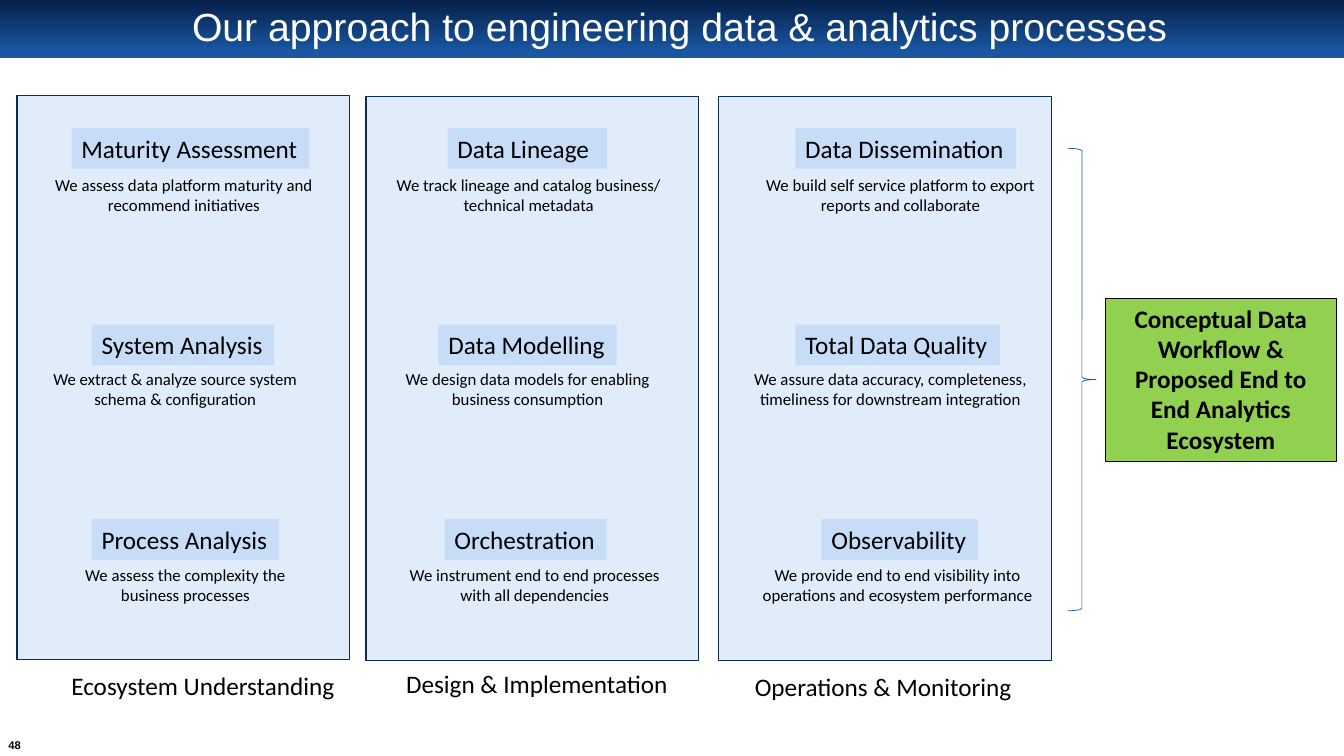
from dataclasses import dataclass

from pptx import Presentation
from pptx import util as u
from pptx.dml.color import RGBColor
from pptx.enum import shapes, text
from pptx.oxml import ns
from lxml import etree

NAVY, BLUE, PALE, GREEN = "0C2B52", "1957A3", "C7DCF6", "92D050"
BLACK, WHITE = "000000", "FFFFFF"
CENTER, LEFT = text.PP_ALIGN.CENTER, text.PP_ALIGN.LEFT
MIDDLE, TOP = text.MSO_ANCHOR.MIDDLE, text.MSO_ANCHOR.TOP
RECTANGLE = shapes.MSO_SHAPE.RECTANGLE

HEADING = {"size": u.Pt(18), "name": "Calibri", "bold": False}
NOTE = HEADING | {"size": u.Pt(12)}
OUTCOME = HEADING | {"bold": True}
TITLE = {"size": u.Pt(28), "name": "Arial", "bold": False}
PAGE_NUMBER = {"size": u.Pt(8), "name": "Arial", "bold": True}

HEADING_TOPS = (91.4, 231.8, 370.8)
NOTE_TOPS = (121, 260, 399.6)


@dataclass
class Box:
    left: float
    top: float
    width: float
    height: float

    def lengths(self) -> list[u.Length]:
        return [u.Pt(v) for v in (self.left, self.top, self.width, self.height)]


@dataclass
class Step:
    heading: str
    heading_left: float
    heading_width: float
    note: str
    note_left: float
    note_width: float


@dataclass
class Stage:
    panel: Box
    caption: str
    caption_box: Box
    steps: list[Step]


STAGES = [
    Stage(Box(12.2, 68.4, 237.6, 402.5), "Ecosystem Understanding", Box(43.9, 475.2, 204.5, 29.1), [
        Step("Maturity Assessment", 51.1, 169.9,
             "We assess data platform maturity and recommend initiatives", 11.5, 239.8),
        Step("System Analysis", 65.5, 130.3,
             "We extract & analyze source system schema & configuration", 12.2, 226.1),
        Step("Process Analysis", 65.5, 133.9,
             "We assess the complexity the business processes", 31.7, 201.6),
    ]),
    Stage(Box(261.4, 69.1, 237.6, 402.5), "Design & Implementation", Box(283, 473.8, 203.8, 29.1), [
        Step("Data Lineage", 319.7, 113.8,
             "We track lineage and catalog business/ technical metadata", 257.8, 239.8),
        Step("Data Modelling", 313.2, 127.4,
             "We design data models for enabling business consumption", 270.7, 212.4),
        Step("Orchestration", 317.5, 115.9,
             "We instrument end to end processes with all dependencies", 275.8, 212.4),
    ]),
    Stage(Box(513.4, 69.1, 237.6, 402.5), "Operations & Monitoring", Box(532.1, 475.9, 200.2, 29.1), [
        Step("Data Dissemination", 568.1, 157.7,
             "We build self service platform to export reports and collaborate", 523.4, 239.8),
        Step("Total Data Quality", 568.1, 146.2,
             "We assure data accuracy, completeness, timeliness for downstream integration", 516.2, 239.8),
        Step("Observability", 586.8, 111.6,
             "We provide end to end visibility into operations and ecosystem performance", 521.3, 239.8),
    ]),
]


def rgb(value: str) -> RGBColor:
    return RGBColor.from_string(value)


def add_figure(slide, box: Box, fill: str = "", line: str = "", line_width: float = 1,
               kind=RECTANGLE):
    """Draw a preset shape; an empty colour means no fill or no line."""
    figure = slide.shapes.add_shape(kind, *box.lengths())
    figure.shadow.inherit = False
    if fill:
        figure.fill.solid()
        figure.fill.fore_color.rgb = rgb(fill)
    else:
        figure.fill.background()
    if line:
        figure.line.color.rgb = rgb(line)
        figure.line.width = u.Pt(line_width)
    else:
        figure.line.fill.background()
    return figure


def write(figure, words: str, style: dict, color: str = BLACK, align=CENTER,
          anchor=TOP, wrap: bool = True):
    frame = figure.text_frame
    frame.word_wrap = wrap
    frame.vertical_anchor = anchor
    paragraph = frame.paragraphs[0]
    paragraph.alignment = align
    run = paragraph.add_run()
    run.text = words
    for attribute, value in style.items():
        setattr(run.font, attribute, value)
    run.font.color.rgb = rgb(color)
    return frame


def add_label(slide, box: Box, words: str, style: dict, **layout):
    return write(slide.shapes.add_textbox(*box.lengths()), words, style, **layout)


def set_opacity(figure, percent: int) -> None:
    color = figure.fill._xPr.find(ns.qn("a:solidFill"))[0]
    etree.SubElement(color, ns.qn("a:alpha"), val=str(percent * 1000))


def add_title_band(slide) -> None:
    band = add_figure(slide, Box(0, 0, 960, 41.5))
    band.fill.gradient()
    band.fill.gradient_angle = 270
    for stop, (position, color) in zip(band.fill.gradient_stops, ((0, "052049"), (0.9, BLUE))):
        stop.position = position
        stop.color.rgb = rgb(color)
    title = add_label(slide, Box(0, 4.3, 970.6, 32.4),
                      "Our approach to engineering data & analytics processes",
                      TITLE, color=WHITE, anchor=MIDDLE)
    title.paragraphs[0].line_spacing = 0.9


def add_stage(slide, stage: Stage) -> None:
    panel = add_figure(slide, stage.panel, PALE, NAVY)
    set_opacity(panel, 54)
    for step, heading_top, note_top in zip(stage.steps, HEADING_TOPS, NOTE_TOPS):
        heading = add_figure(slide, Box(step.heading_left, heading_top, step.heading_width, 29.1), PALE)
        write(heading, step.heading, HEADING, align=LEFT, wrap=False)
        add_label(slide, Box(step.note_left, note_top, step.note_width, 36), step.note, NOTE)
    add_label(slide, stage.caption_box, stage.caption, HEADING, align=LEFT, wrap=False)


def add_outcome(slide) -> None:
    outcome = add_figure(slide, Box(789.6, 212.9, 164.9, 116.6), GREEN, BLACK, 0.75)
    write(outcome, "Conceptual Data Workflow & Proposed End to End Analytics Ecosystem", OUTCOME)
    add_figure(slide, Box(762.7, 106, 20.2, 330.3), line=BLUE, line_width=0.5,
               kind=shapes.MSO_SHAPE.RIGHT_BRACE)


def add_page_number(slide) -> None:
    frame = add_label(slide, Box(1.4, 525.6, 18, 13.7), "48", PAGE_NUMBER, anchor=MIDDLE, wrap=False)
    for side in ("left", "top", "right", "bottom"):
        setattr(frame, f"margin_{side}", 0)


def main() -> None:
    deck = Presentation()
    deck.slide_width, deck.slide_height = u.Pt(960), u.Pt(540)
    slide = deck.slides.add_slide(deck.slide_layouts[6])
    add_title_band(slide)
    add_page_number(slide)
    for stage in STAGES:
        add_stage(slide, stage)
    add_outcome(slide)
    deck.save("out.pptx")


if __name__ == "__main__":
    main()
